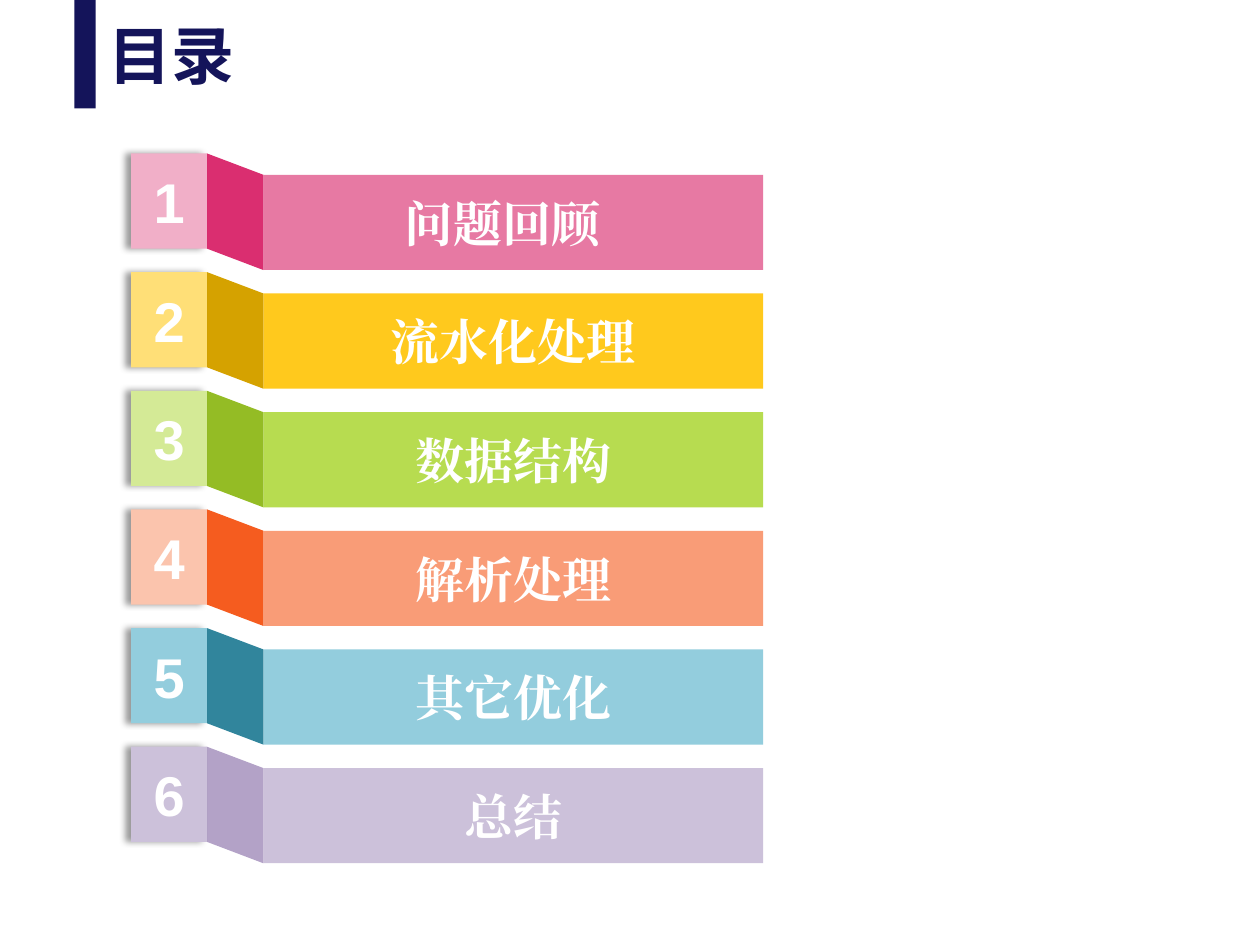
from dataclasses import dataclass

from lxml.etree import SubElement
from pptx import Presentation
from pptx.dml.color import RGBColor
from pptx.enum.shapes import MSO_SHAPE as Shape
from pptx.enum.text import MSO_ANCHOR as Anchor, MSO_AUTO_SIZE as AutoSize, PP_ALIGN as Align
from pptx.oxml.ns import qn
from pptx.util import Pt

COLORS = {"navy": "14145A", "white": "FFFFFF", "shadow": "000000"}
CJK_FONT = "Noto Sans CJK SC"
LABEL_FONT = "Times New Roman"
NUMBER_FONT = "Arial"

TAB_LEFT, TAB_WIDTH = 75, 43.3
FOLD_LEFT = TAB_LEFT + TAB_WIDTH
BAR_LEFT, BAR_WIDTH = 150.5, 285.6
FIRST_TOP, PITCH, HEIGHT, DROP = 87.7, 67.8, 54.4, 12.2
INSET = 7.2


@dataclass
class Entry:
    label: str
    tab: str
    fold: str
    bar: str
    right_inset: float = INSET


ENTRIES = [
    Entry("问题回顾", "F1AFC8", "DA2E70", "E779A3", 19.8),
    Entry("流水化处理", "FFDF77", "D5A200", "FFC91D"),
    Entry("数据结构", "D4EA96", "94BC25", "B7DC50"),
    Entry("解析处理", "FBC4AD", "F55C1F", "F99C77"),
    Entry("其它优化", "93CDDD", "31859C", "93CDDD"),
    Entry("总结", "CCC1DA", "B3A2C7", "CCC1DA"),
]


def paint(s, color: str) -> None:
    s.fill.solid()
    s.fill.fore_color.rgb = RGBColor.from_string(color)
    s.line.fill.background()
    s.shadow.inherit = False


def add_rect(shapes, left: float, top: float, width: float, height: float, color: str):
    s = shapes.add_shape(Shape.RECTANGLE, Pt(left), Pt(top), Pt(width), Pt(height))
    paint(s, color)
    return s


def write(s, text: str, size: float, font: str, color: str, align: Align) -> None:
    tf = s.text_frame
    tf.word_wrap = True
    tf.text = text
    p = tf.paragraphs[0]
    p.alignment = align
    r = p.runs[0]
    r.font.size = Pt(size)
    r.font.bold = True
    r.font.name = font
    r.font.color.rgb = RGBColor.from_string(color)
    SubElement(r.font._element, qn("a:ea"), typeface=font)


def write_centered(s, text: str, size: float, font: str) -> None:
    write(s, text, size, font, COLORS["white"], Align.CENTER)
    s.text_frame.vertical_anchor = Anchor.MIDDLE


def add_left_shadow(s) -> None:
    effects = s._element.spPr.find(qn("a:effectLst"))
    shadow = SubElement(effects, qn("a:outerShdw"), blurRad=str(Pt(4)), dist=str(Pt(3)),
                        dir="10800000", algn="r", rotWithShape="0")
    color = SubElement(shadow, qn("a:srgbClr"), val=COLORS["shadow"])
    SubElement(color, qn("a:alpha"), val="40000")


def add_fold(shapes, top: float, color: str) -> None:
    corners = [(FOLD_LEFT, top + HEIGHT), (BAR_LEFT, top + DROP + HEIGHT), (BAR_LEFT, top + DROP)]
    builder = shapes.build_freeform(Pt(FOLD_LEFT), Pt(top))
    builder.add_line_segments([(Pt(x), Pt(y)) for x, y in corners], close=True)
    paint(builder.convert_to_shape(), color)


def add_entry(slide, index: int, entry: Entry) -> None:
    top = FIRST_TOP + index * PITCH
    shapes = slide.shapes.add_group_shape().shapes
    bar = add_rect(shapes, BAR_LEFT, top + DROP, BAR_WIDTH, HEIGHT, entry.bar)
    write_centered(bar, entry.label, 28, LABEL_FONT)
    bar.text_frame.margin_right = Pt(entry.right_inset)
    add_fold(shapes, top, entry.fold)
    tab = add_rect(shapes, TAB_LEFT, top, TAB_WIDTH, HEIGHT, entry.tab)
    add_left_shadow(tab)
    write_centered(tab, str(index + 1), 32, NUMBER_FONT)


def add_title(slide) -> None:
    add_rect(slide.shapes, 42.5, 0, 12.2, 62, COLORS["navy"])
    s = slide.shapes.add_textbox(Pt(54.7), Pt(5.8), Pt(363), Pt(51))
    write(s, "目录", 36, CJK_FONT, COLORS["navy"], Align.LEFT)
    s.text_frame.auto_size = AutoSize.SHAPE_TO_FIT_TEXT


def main() -> None:
    prs = Presentation()
    prs.slide_width, prs.slide_height = Pt(720), Pt(540)
    slide = prs.slides.add_slide(prs.slide_layouts[6])
    add_title(slide)
    for index, entry in enumerate(ENTRIES):
        add_entry(slide, index, entry)
    prs.save("out.pptx")


if __name__ == "__main__":
    main()
